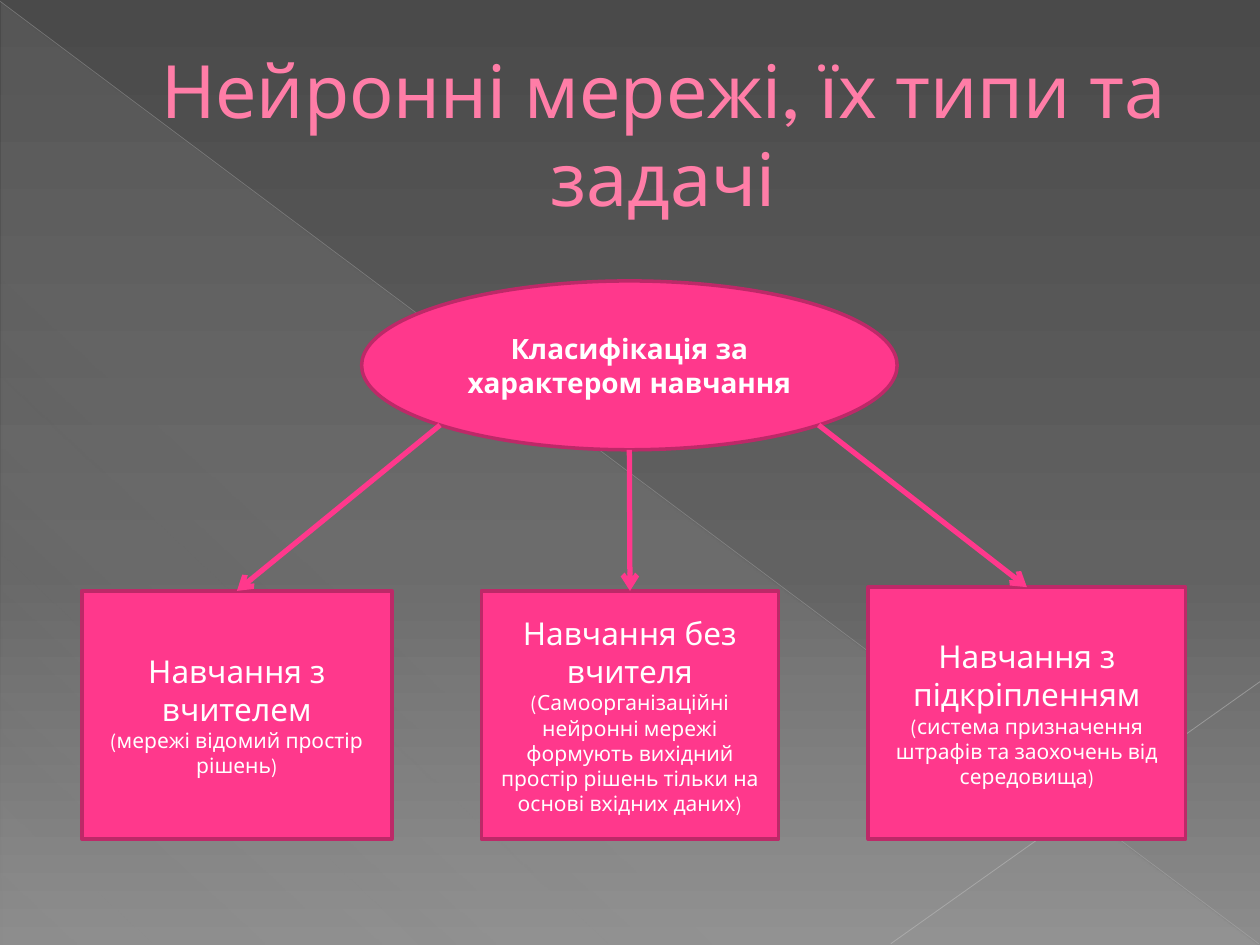
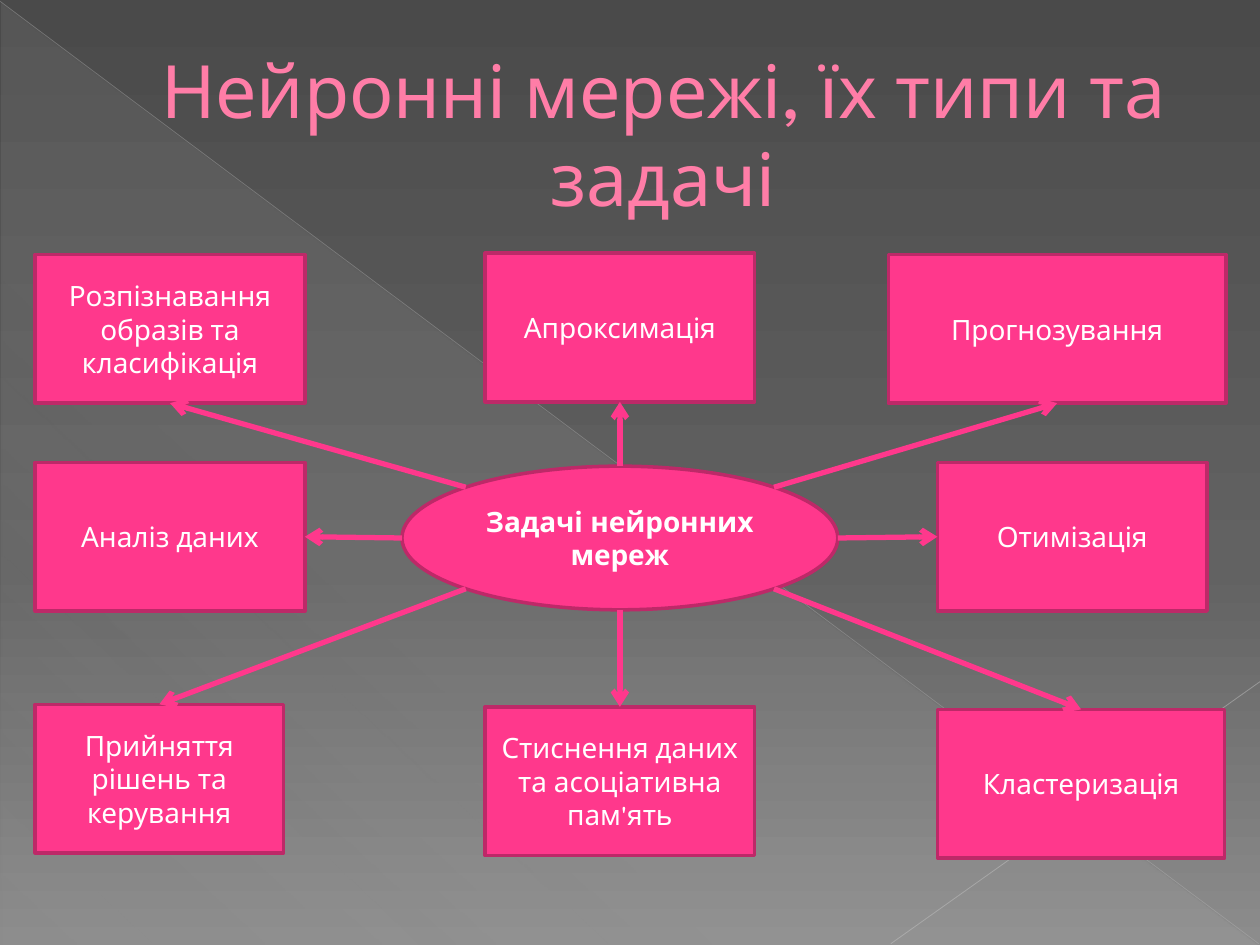
from math import hypot

from lxml.etree import SubElement
from pptx import Presentation
from pptx.dml.color import RGBColor
from pptx.enum.shapes import MSO_CONNECTOR, MSO_SHAPE as SHAPE
from pptx.enum.text import MSO_ANCHOR, PP_ALIGN
from pptx.oxml.ns import qn
from pptx.util import Inches, Pt

FONT = "League Spartan"
TITLE = "Нейронні мережі, їх типи та задачі"
COLORS = {
    "title": "FF7DA7", "title_edge": "B12761",
    "pink": "FF388C", "pink_edge": "BD2968", "text": "FFFFFF",
    "diagonal": "BFBFBF", "corner": "C6C6C6",
}
BACKGROUND = [(0, "4A4A4A", 100), (60, "626262", 100), (100, "8C8C8C", 100)]
TRIANGLE = [(0, "D2D2D2", 10), (70, "D2D2D2", 8), (100, "D2D2D2", 1)]

# Directions in which arrows leave the hub and meet the boxes
UP, DOWN, LEFT, RIGHT = (0, -1), (0, 1), (-1, 0), (1, 0)
UP_LEFT, UP_RIGHT, DOWN_LEFT, DOWN_RIGHT = (-1, -1), (1, -1), (-1, 1), (1, 1)

# Each branch: paragraphs, box (left, top, width, height), hub side, box side
DIAGRAMS = [
    {
        "hub": ("Класифікація за характером навчання", (2.87, 2.23, 4.25, 1.34)),
        "sizes": (18, 12),
        "branches": [
            (["Навчання з вчителем", "(мережі відомий простір рішень)"],
             (0.65, 4.69, 2.46, 1.97), DOWN_LEFT, UP),
            (["Навчання без вчителя",
              "(Самоорганізаційні нейронні мережі формують вихідний простір "
              "рішень тільки на основі вхідних даних)"],
             (3.82, 4.69, 2.36, 1.97), DOWN, UP),
            (["Навчання з підкріпленням",
              "(система призначення штрафів та заохочень від середовища)"],
             (6.89, 4.66, 2.52, 2), DOWN_RIGHT, UP),
        ],
    },
    {
        "hub": ("Задачі нейронних мереж", (3.19, 3.7, 3.46, 1.14)),
        "sizes": (16,),
        "branches": [
            (["Розпізнавання образів та класифікація"],
             (0.28, 2.02, 2.14, 1.18), UP_LEFT, DOWN),
            (["Апроксимація"], (3.85, 2.01, 2.14, 1.18), UP, DOWN),
            (["Прогнозування"], (7.05, 2.02, 2.68, 1.18), UP_RIGHT, DOWN),
            (["Аналіз даних"], (0.28, 3.67, 2.14, 1.18), LEFT, RIGHT),
            (["Отимізація"], (7.44, 3.67, 2.14, 1.18), RIGHT, LEFT),
            (["Прийняття рішень та керування"],
             (0.28, 5.59, 1.97, 1.18), DOWN_LEFT, UP),
            (["Стиснення даних та асоціативна пам'ять"],
             (3.85, 5.61, 2.14, 1.18), DOWN, UP),
            (["Кластеризація"], (7.44, 5.63, 2.28, 1.18), DOWN_RIGHT, UP),
        ],
    },
]


def set_gradient(element, fill, stops, angle):
    """Give fill, which lies inside element, stops of (percent, colour, opacity)."""
    fill.gradient()
    grad = next(element.iter(qn("a:gradFill")))
    for child in list(grad):
        grad.remove(child)
    gs_list = SubElement(grad, qn("a:gsLst"))
    for percent, color, opacity in stops:
        gs = SubElement(gs_list, qn("a:gs"), pos=str(percent * 1000))
        clr = SubElement(gs, qn("a:srgbClr"), val=color)
        SubElement(clr, qn("a:alpha"), val=str(opacity * 1000))
    SubElement(grad, qn("a:lin"), ang=str(angle * 60000), scaled="0")


def add_line(slide, start, end, color, width, opacity=100, arrow=False):
    line = slide.shapes.add_connector(
        MSO_CONNECTOR.STRAIGHT, *[Inches(v) for v in (*start, *end)])
    line.line.color.rgb = RGBColor.from_string(COLORS[color])
    line.line.width = Pt(width)
    sp_pr = line.element.spPr
    clr = next(sp_pr.iter(qn("a:srgbClr")))
    SubElement(clr, qn("a:alpha"), val=str(opacity * 1000))
    if arrow:
        SubElement(sp_pr.find(qn("a:ln")), qn("a:tailEnd"), type="arrow")
    SubElement(sp_pr, qn("a:effectLst"))


prs = Presentation()
prs.slide_width, prs.slide_height = Inches(10), Inches(7.5)
master = prs.slide_master
set_gradient(master.element, master.background.fill, BACKGROUND, 90)

for diagram in DIAGRAMS:
    slide = prs.slides.add_slide(prs.slide_layouts[6])

    # Backdrop
    s = slide.shapes.add_shape(
        SHAPE.RIGHT_TRIANGLE, Inches(0.01), Inches(0.02), Inches(9.98), Inches(7.48))
    s.shadow.inherit = False
    s.line.fill.background()
    set_gradient(s.element, s.fill, TRIANGLE, 133)
    add_line(slide, (0, 0.01), (9.99, 7.49), "diagonal", 0.39, opacity=35)
    add_line(slide, (10, 5.41), (7.07, 7.49), "corner", 0.47, opacity=45)

    # Title
    s = slide.shapes.add_textbox(Inches(0.5), Inches(0.29), Inches(9), Inches(1.53))
    tf = s.text_frame
    tf.word_wrap = True
    tf.vertical_anchor = MSO_ANCHOR.MIDDLE
    tf.text = TITLE
    p = tf.paragraphs[0]
    p.alignment = PP_ALIGN.CENTER
    p_pr = p._p.get_or_add_pPr()
    p_pr.set("marL", str(Inches(0.53)))
    p_pr.set("indent", "0")
    r = p.runs[0]
    outline = SubElement(r._r.get_or_add_rPr(), qn("a:ln"), w=str(Pt(0.5)))
    outline_fill = SubElement(outline, qn("a:solidFill"))
    SubElement(outline_fill, qn("a:srgbClr"), val=COLORS["title_edge"])
    r.font.name, r.font.size = FONT, Pt(42)
    r.font.color.rgb = RGBColor.from_string(COLORS["title"])

    # Hub and boxes
    hub_text, hub = diagram["hub"]
    nodes = [(SHAPE.OVAL, [hub_text], hub, (16,), True)]
    nodes += [(SHAPE.RECTANGLE, texts, box, diagram["sizes"], False)
              for texts, box, _, _ in diagram["branches"]]
    for kind, texts, box, sizes, bold in nodes:
        s = slide.shapes.add_shape(kind, *[Inches(v) for v in box])
        s.shadow.inherit = False
        s.fill.solid()
        s.fill.fore_color.rgb = RGBColor.from_string(COLORS["pink"])
        s.line.color.rgb = RGBColor.from_string(COLORS["pink_edge"])
        s.line.width = Pt(2)
        tf = s.text_frame
        tf.word_wrap = True
        tf.vertical_anchor = MSO_ANCHOR.MIDDLE
        tf.text = "\n".join(texts)
        for p, size in zip(tf.paragraphs, sizes):
            p.alignment = PP_ALIGN.CENTER
            font = p.runs[0].font
            font.name, font.size, font.bold = FONT, Pt(size), bold
            font.color.rgb = RGBColor.from_string(COLORS["text"])

    # Arrows run from the edge of the hub to the middle of a box side
    for _, box, hub_side, box_side in diagram["branches"]:
        start, end = [
            (x + w / 2 * (1 + dx / hypot(dx, dy)), y + h / 2 * (1 + dy / hypot(dx, dy)))
            for (x, y, w, h), (dx, dy) in ((hub, hub_side), (box, box_side))]
        add_line(slide, start, end, "pink", 3, arrow=True)

prs.save("out.pptx")
